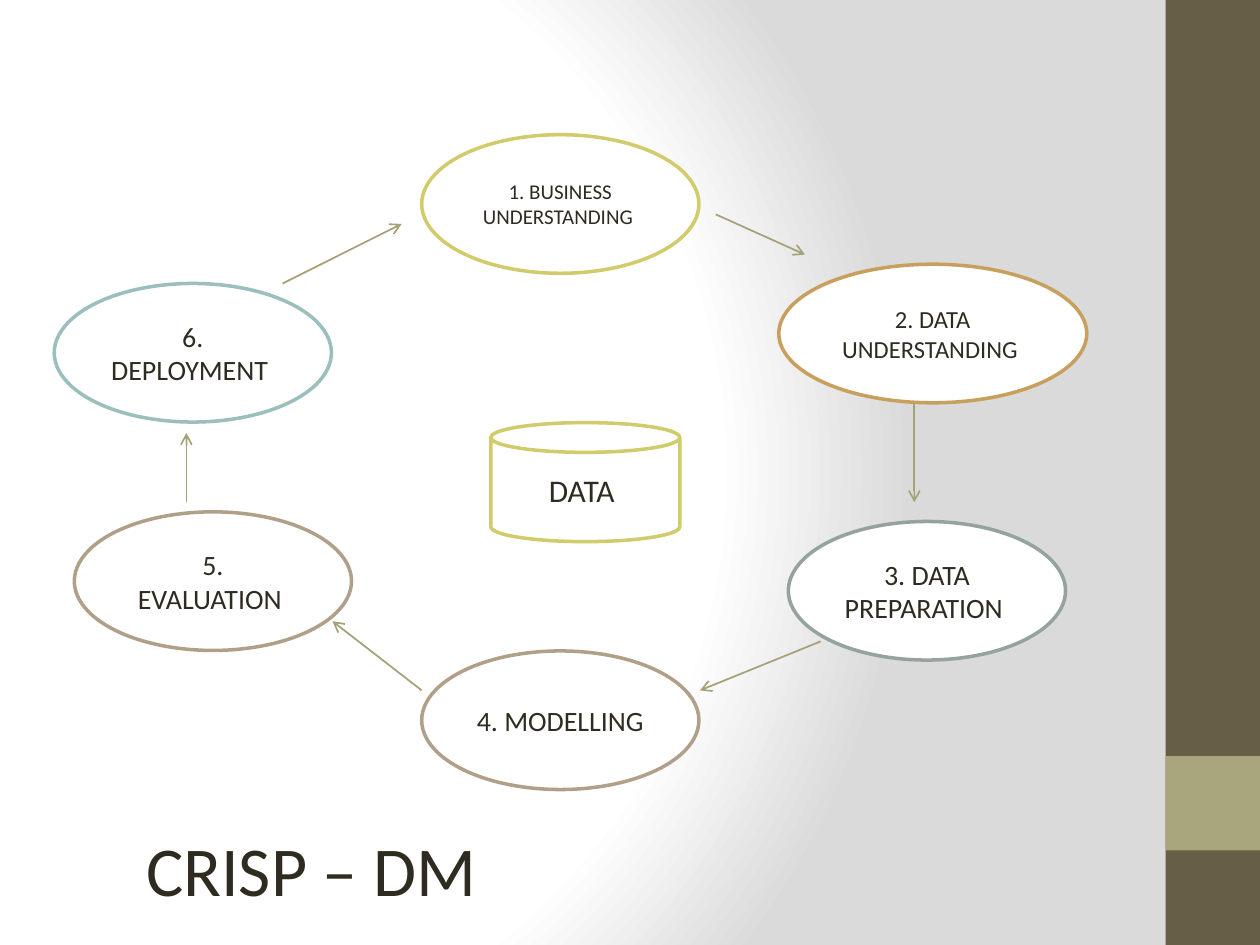
"""Builds the CRISP-DM cycle slide."""
from lxml import etree
from pptx import Presentation
from pptx.dml.color import RGBColor
from pptx.enum.shapes import MSO_CONNECTOR, MSO_SHAPE
from pptx.enum.text import MSO_ANCHOR, PP_ALIGN
from pptx.oxml import parse_xml
from pptx.oxml.ns import nsdecls, qn
from pptx.util import Pt

RECT, OVAL, CAN = MSO_SHAPE.RECTANGLE, MSO_SHAPE.OVAL, MSO_SHAPE.CAN
STRAIGHT = MSO_CONNECTOR.STRAIGHT
LEFT, CENTER = PP_ALIGN.LEFT, PP_ALIGN.CENTER
TOP, MIDDLE = MSO_ANCHOR.TOP, MSO_ANCHOR.MIDDLE

WHITE = RGBColor(0xFF, 0xFF, 0xFF)
GREY = RGBColor(0xDA, 0xDA, 0xDA)
INK = RGBColor(0x2F, 0x2B, 0x20)
BROWN = RGBColor(0x67, 0x5E, 0x47)
OLIVE = RGBColor(0xA9, 0xA5, 0x7C)
ARROW = RGBColor(0xA6, 0xA2, 0x78)
YELLOW = RGBColor(0xD2, 0xCB, 0x6C)
TEAL = RGBColor(0x9C, 0xBE, 0xBD)
ORANGE = RGBColor(0xC8, 0x9F, 0x5D)
TAN = RGBColor(0xB1, 0xA0, 0x89)
SAGE = RGBColor(0x95, 0xA3, 0x9D)


def write(tf, text, size=16, color=INK, font="Calibri", align=CENTER, anchor=MIDDLE):
    tf.word_wrap = True
    tf.vertical_anchor = anchor
    p = tf.paragraphs[0]
    p.alignment = align
    r = p.add_run()
    r.text = text
    r.font.name, r.font.size, r.font.color.rgb = font, Pt(size), color


class Deck:
    def __init__(self, width, height):
        self.prs = Presentation()
        self.prs.slide_width, self.prs.slide_height = Pt(width), Pt(height)
        self.s = self.prs.slides.add_slide(self.prs.slide_layouts[6])

    def background(self, stops):
        self.s.background.fill.gradient()
        old = self.s.element.find(".//" + qn("a:gradFill"))
        gs = "".join(f'<a:gs pos="{pos * 1000}"><a:srgbClr val="{color}"/></a:gs>'
                     for pos, color in stops)
        new = parse_xml(
            f'<a:gradFill {nsdecls("a")} rotWithShape="1"><a:gsLst>{gs}</a:gsLst>'
            '<a:path path="circle"><a:fillToRect l="20000" t="50000" r="100000" b="50000"/>'
            '</a:path></a:gradFill>')
        old.getparent().replace(old, new)

    def shape(self, kind, box, fill=WHITE, line=None):
        sp = self.s.shapes.add_shape(kind, *map(Pt, box))
        sp.shadow.inherit = False
        sp.fill.solid()
        sp.fill.fore_color.rgb = fill
        if line is None:
            sp.line.fill.background()
        else:
            sp.line.color.rgb, sp.line.width = line, Pt(2)
        return sp

    def node(self, kind, box, text, size, line):
        write(self.shape(kind, box, line=line).text_frame, text, size=size)

    def arrow(self, *ends):
        cn = self.s.shapes.add_connector(STRAIGHT, *map(Pt, ends))
        cn.line.color.rgb, cn.line.width = ARROW, Pt(1)
        etree.SubElement(cn.line._get_or_add_ln(), qn("a:tailEnd"), type="arrow")
        etree.SubElement(cn._element.spPr, qn("a:effectLst"))

    def text(self, box, text, **fmt):
        write(self.s.shapes.add_textbox(*map(Pt, box)).text_frame, text, **fmt)


STEP_W, STEP_H = 158.4, 79.2
STEPS = [
    ("6. DEPLOYMENT ", 31, 162, STEP_W, 16, TEAL),
    ("2. DATA UNDERSTANDING ", 445, 151, 176, 14, ORANGE),
    ("5. EVALUATION ", 42.5, 292.5, STEP_W, 16, TAN),
    ("3. DATA PREPARATION ", 450.5, 298, STEP_W, 16, SAGE),
    ("4. MODELLING ", 241, 372, STEP_W, 16, TAN),
    ("1. BUSINESS UNDERSTANDING ", 241, 77, STEP_W, 12, YELLOW),
]
ARROWS = [
    (409, 122.5, 460, 145.5),
    (522.5, 230.5, 522.5, 287),
    (469, 366.5, 400, 394.5),
    (241, 394.5, 190, 355),
    (106.5, 287, 106.5, 247.5),
    (161.5, 162, 229.5, 128),
]

deck = Deck(720, 540)
deck.background([(0, WHITE), (75, WHITE), (100, GREY)])
deck.shape(RECT, (666, 0, 54, 540), fill=BROWN)
deck.shape(RECT, (666, 432, 54, 54), fill=OLIVE)
deck.node(CAN, (280.5, 241.5, 108, 68), "DATA ", 18, YELLOW)
for label, x, y, w, size, color in STEPS:
    deck.node(OVAL, (x, y, w, STEP_H), label, size, color)
for ends in ARROWS:
    deck.arrow(*ends)
deck.text((76.5, 469, 456.5, 55.5), "CRISP – DM ", size=40, align=LEFT, anchor=TOP)
deck.prs.save("out.pptx")
